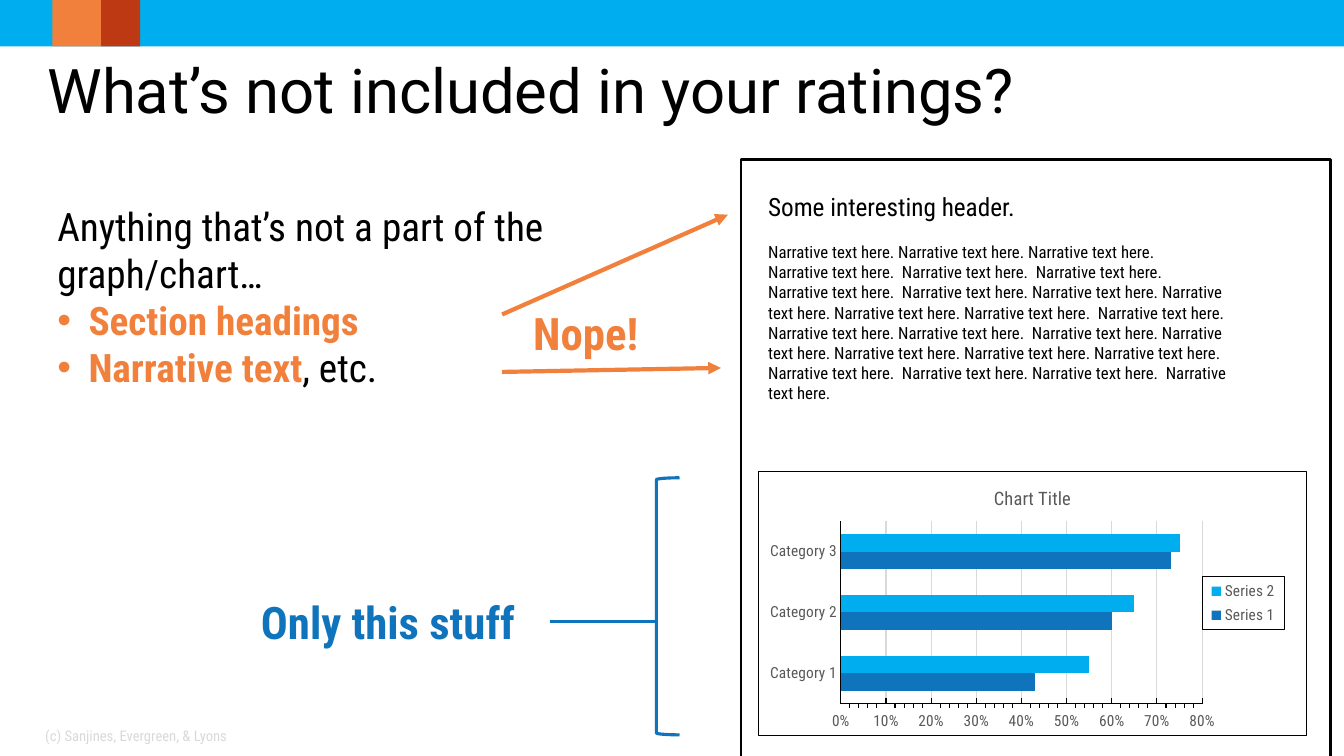
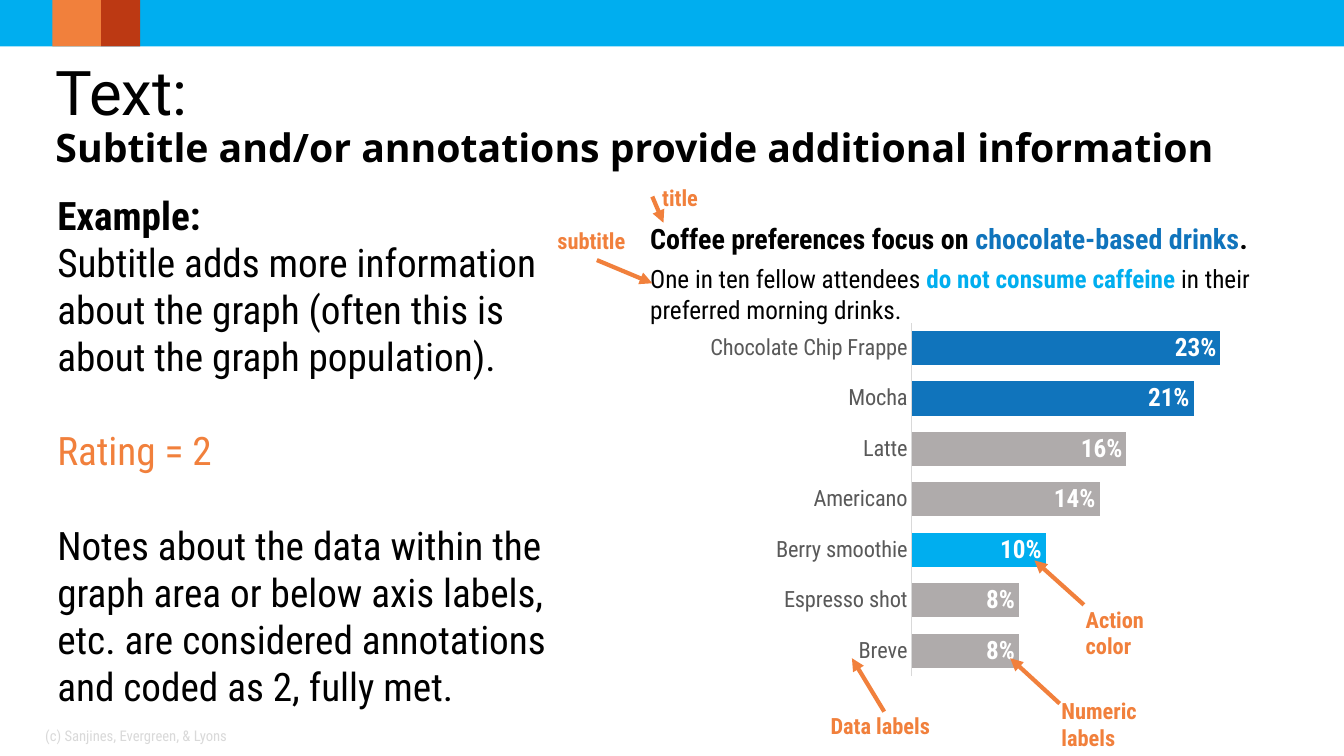
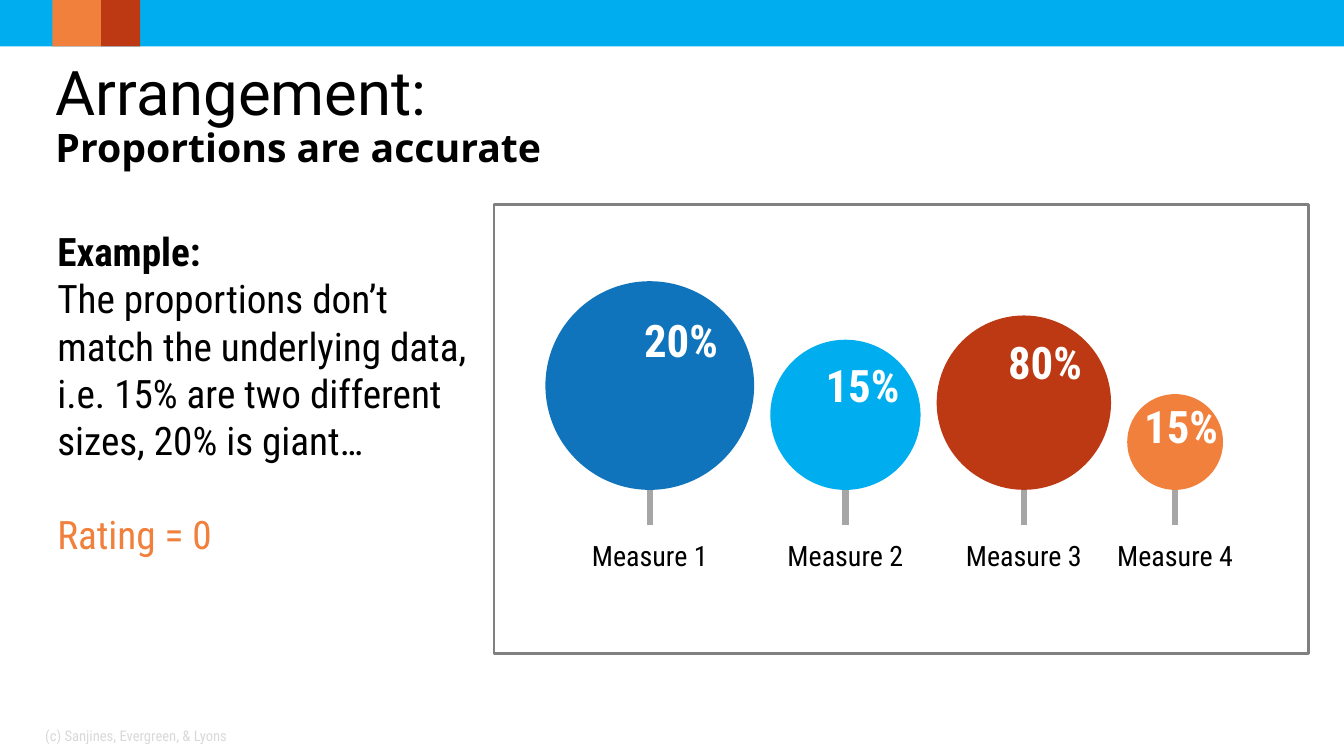
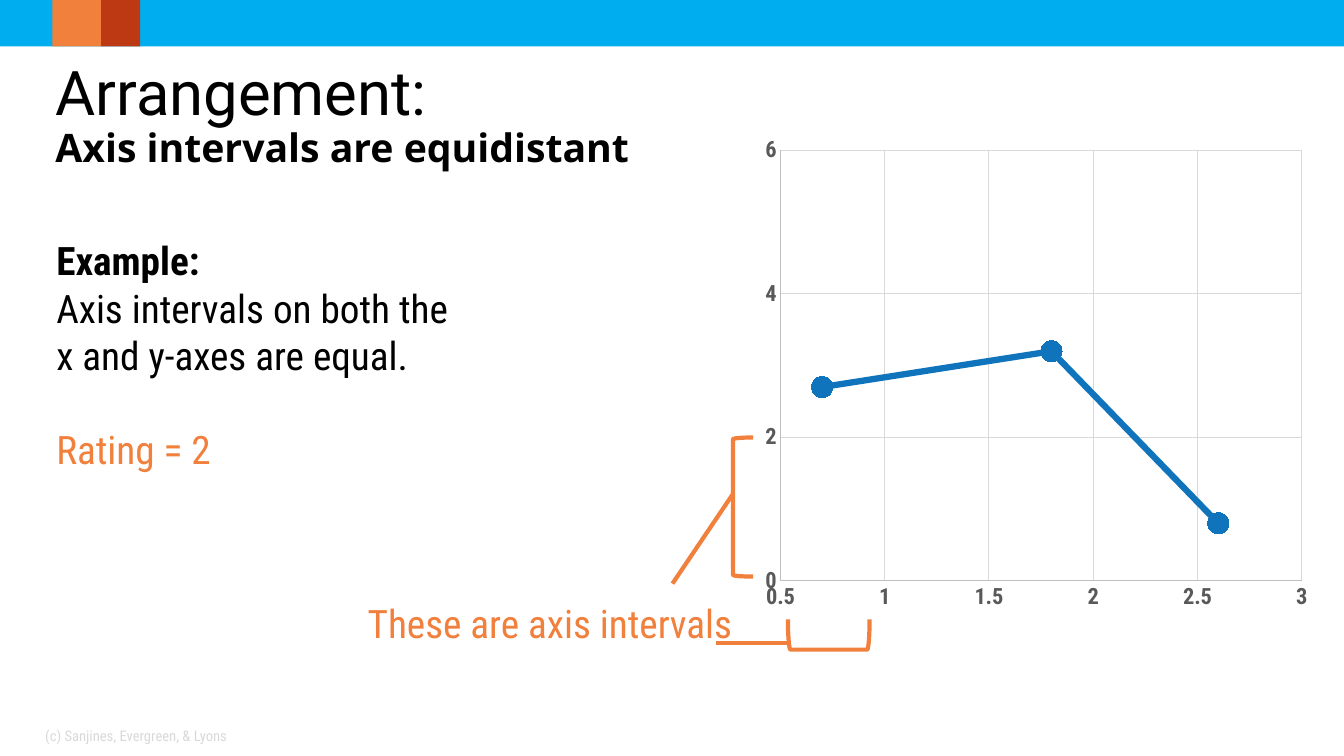
from pptx import Presentation
from pptx.chart.data import CategoryChartData, XyChartData
from pptx.dml.color import RGBColor
from pptx.enum.chart import XL_CHART_TYPE as CHART
from pptx.enum.chart import XL_LABEL_POSITION as LABEL
from pptx.enum.chart import XL_LEGEND_POSITION as LEGEND
from pptx.enum.chart import XL_MARKER_STYLE as MARKER
from pptx.enum.chart import XL_TICK_MARK as TICK
from pptx.enum.shapes import MSO_CONNECTOR as CONNECTOR
from pptx.enum.shapes import MSO_SHAPE as SHAPE
from pptx.enum.text import MSO_ANCHOR as ANCHOR
from pptx.enum.text import PP_ALIGN as ALIGN
from pptx.oxml import parse_xml
from pptx.oxml.ns import nsdecls, qn
from pptx.util import Inches, Pt

BLACK = RGBColor(0x00, 0x00, 0x00)
WHITE = RGBColor(0xFF, 0xFF, 0xFF)
CYAN = RGBColor(0x00, 0xAE, 0xEF)
BLUE = RGBColor(0x10, 0x74, 0xBC)
RED = RGBColor(0xBC, 0x39, 0x13)
ORANGE = RGBColor(0xF1, 0x80, 0x3C)
AXIS_TEXT = RGBColor(0x59, 0x59, 0x59)
FRAME_GRAY = RGBColor(0x80, 0x80, 0x80)
STEM_GRAY = RGBColor(0xA6, 0xA6, 0xA6)
BAR_GRAY = RGBColor(0xAF, 0xAB, 0xAB)
AXIS_GRAY = RGBColor(0xBF, 0xBF, 0xBF)
PALE_GRAY = RGBColor(0xD9, 0xD9, 0xD9)

BODY_FONT, TITLE_FONT, SUBTITLE_FONT = "Roboto Condensed", "Roboto", "Open Sans"
BLANK_LINE = Pt(33.6)
FOOTER = "(c) Sanjines, Evergreen, & Lyons"


def set_values(target, values):
    for key, value in values.items():
        setattr(target, key, value)


def set_font(font, size, color, bold=False, name=BODY_FONT):
    set_values(font, {"size": Pt(size), "bold": bold, "name": name})
    font.color.rgb = color


def set_line(line, color, width=0.75):
    line.color.rgb = color
    line.width = Pt(width)


def chart_border():
    return parse_xml(
        f'<c:spPr {nsdecls("c", "a")}><a:noFill/><a:ln w="9525"><a:solidFill>'
        f'<a:srgbClr val="{BLACK}"/></a:solidFill></a:ln></c:spPr>')


def chart_layout(x, y, w, h, inner=False):
    """Manual layout element, in fractions of the chart area."""
    target = '<c:layoutTarget val="inner"/>' if inner else ""
    modes = "".join(f'<c:{side}Mode val="edge"/>' for side in "xy")
    sizes = "".join(f'<c:{key} val="{value}"/>' for key, value in zip("xywh", (x, y, w, h)))
    return parse_xml(f'<c:layout {nsdecls("c")}><c:manualLayout>{target}{modes}{sizes}'
                     '</c:manualLayout></c:layout>')


def place_plot(chart, *fractions):
    plot_area = chart._chartSpace.chart.plotArea
    for old in plot_area.findall(qn("c:layout")):
        plot_area.remove(old)
    plot_area.insert(0, chart_layout(*fractions, inner=True))


def style_axis(axis, size, line, grid=None, bold=False, **values):
    set_values(axis, {"major_tick_mark": TICK.NONE, "minor_tick_mark": TICK.NONE,
                      "has_major_gridlines": grid is not None, **values})
    set_font(axis.tick_labels.font, size, AXIS_TEXT, bold)
    set_line(axis.format.line, line)
    if grid is not None:
        set_line(axis.major_gridlines.format.line, grid)


class Deck:
    def __init__(self):
        self.prs = Presentation()
        self.prs.slide_width, self.prs.slide_height = Inches(13.33), Inches(7.5)
        self.slide = None

    def new_slide(self, title, subtitle=None):
        self.slide = self.prs.slides.add_slide(self.prs.slide_layouts[6])
        for left, width, color in ((0, 13.33, CYAN), (1, 0.39, RED), (0.52, 0.48, ORANGE)):
            self.shape(SHAPE.RECTANGLE, (left, 0, width, 0.46), fill=color)
        runs = [(title, {"name": TITLE_FONT})]
        box = (0.47, 0.3, 12.21, 1.25)
        if subtitle:
            runs += ["\n", (subtitle, {"size": 28, "bold": True, "name": SUBTITLE_FONT})]
            box = (0.55, 0.53, 12.51, 1.25)
        heading = self.text(box, [runs], 44, anchor=ANCHOR.MIDDLE, line_spacing=0.9)
        set_values(heading.text_frame, {"margin_left": 0, "margin_right": 0})
        self.text((0.35, 7.1, 3.11, 0.4), [FOOTER], 10.5, PALE_GRAY, anchor=ANCHOR.MIDDLE)

    def shape(self, kind, box, fill=None, line=None, width=1, rotation=0):
        shape = self.slide.shapes.add_shape(kind, *map(Inches, box))
        shape.shadow.inherit = False
        shape.rotation = rotation
        if fill is None:
            shape.fill.background()
        else:
            shape.fill.solid()
            shape.fill.fore_color.rgb = fill
        if line is None:
            shape.line.fill.background()
        else:
            set_line(shape.line, line, width)
        return shape

    def text(self, box, paragraphs, size, color=BLACK, bold=False, anchor=ANCHOR.TOP,
             gaps=(), bullets=(), **paragraph_values):
        """Each paragraph is a string or a list of runs; a run is a string or (string, font values).

        gaps and bullets hold the indexes of paragraphs with a line before them or a bullet.
        """
        shape = self.slide.shapes.add_textbox(*map(Inches, box))
        frame = shape.text_frame
        set_values(frame, {"word_wrap": True, "vertical_anchor": anchor})
        for index, runs in enumerate(paragraphs):
            paragraph = frame.add_paragraph() if index else frame.paragraphs[0]
            set_values(paragraph, paragraph_values)
            if index in gaps:
                paragraph.space_before = BLANK_LINE
            if index in bullets:
                self.bullet(paragraph)
            for run in [runs] if isinstance(runs, str) else runs:
                if run == "\n":
                    paragraph.add_line_break()
                    continue
                words, values = (run, {}) if isinstance(run, str) else run
                part = paragraph.add_run()
                part.text = words
                set_font(part.font, **{"size": size, "color": color, "bold": bold, **values})
        return shape

    @staticmethod
    def bullet(paragraph):
        properties = paragraph._p.get_or_add_pPr()
        indent = Inches(0.31)
        properties.set("marL", str(indent))
        properties.set("indent", str(-indent))
        properties.append(parse_xml(f'<a:buFont {nsdecls("a")} typeface="Arial"/>'))
        properties.append(parse_xml(f'<a:buChar {nsdecls("a")} char="•"/>'))

    def example(self, box, body, rating, note=None):
        paragraphs = [[("Example:", {"bold": True})], body,
                      [(f"Rating = {rating}", {"color": ORANGE})]]
        if note:
            paragraphs.append(note)
        self.text(box, paragraphs, 28, gaps=(2, 3))

    def line(self, start, end, color=ORANGE, width=3, arrow=False):
        line = self.slide.shapes.add_connector(CONNECTOR.STRAIGHT, *map(Inches, start + end))
        set_line(line.line, color, width)
        if arrow:
            line.line._get_or_add_ln().append(
                parse_xml(f'<a:tailEnd {nsdecls("a")} type="triangle"/>'))
        line._element.spPr.append(parse_xml(f'<a:effectLst {nsdecls("a")}/>'))
        return line

    def chart(self, kind, box, data, size):
        chart = self.slide.shapes.add_chart(kind, *map(Inches, box), data).chart
        set_font(chart.font, size, BLACK)
        set_values(chart, {"has_title": False, "has_legend": False})
        chart.plots[0].vary_by_categories = False
        return chart

    def bars(self, box, categories, series, size, gap):
        """Bar chart from (name, values, colour) series."""
        data = CategoryChartData(number_format="0%")
        data.categories = categories
        for name, values, _ in series:
            data.add_series(name, values)
        chart = self.chart(CHART.BAR_CLUSTERED, box, data, size)
        set_values(chart.plots[0], {"gap_width": gap, "overlap": 0})
        for drawn, (_, _, color) in zip(chart.plots[0].series, series):
            drawn.format.fill.solid()
            drawn.format.fill.fore_color.rgb = color
            drawn.invert_if_negative = False
        return chart


def ratings_slide(deck):
    deck.new_slide("What’s not included in your ratings?")
    strong = {"color": ORANGE, "bold": True}
    deck.text((0.47, 1.96, 6.24, 3.23),
              ["Anything that’s not a part of the graph/chart…",
               [("Section headings", strong)],
               [("Narrative text", strong), ", etc."]], 28, bullets=(1, 2))
    deck.line((4.98, 3.12), (7.22, 2.13), arrow=True)
    deck.line((4.98, 3.69), (7.15, 3.65), arrow=True)
    included = deck.text((2.49, 5.85, 2.96, 0.64), ["Only this stuff"], 32, BLUE, True,
                         ANCHOR.MIDDLE)
    deck.shape(SHAPE.LEFT_BRACKET, (6.51, 4.74, 0.23, 2.55), line=BLUE, width=2.25)
    deck.line((5.45, 6.17), (6.51, 6.17), BLUE, 2.25).begin_connect(included, 3)
    deck.text((5.19, 2.98, 2.96, 0.64), ["Nope!"], 32, ORANGE, True, ANCHOR.MIDDLE)

    deck.shape(SHAPE.RECTANGLE, (7.35, 1.58, 5.85, 6.23), WHITE, BLACK, 2)
    deck.text((7.52, 1.85, 4.27, 0.41), ["Some interesting header."], 18)
    deck.text((7.52, 2.35, 4.89, 2.73), [
        "Narrative text here. Narrative text here. Narrative text here.",
        "Narrative text here.  Narrative text here.  Narrative text here.",
        "Narrative text here.  Narrative text here. Narrative text here. Narrative text here. "
        "Narrative text here. Narrative text here.  Narrative text here.  Narrative text here. "
        "Narrative text here.  Narrative text here. Narrative text here. Narrative text here. "
        "Narrative text here. Narrative text here.  Narrative text here.  Narrative text here. "
        "Narrative text here.  Narrative text here."], 12)

    chart = deck.bars((7.52, 4.67, 5.44, 2.63), ["Category 1", "Category 2", "Category 3"],
                      [("Series 1", (0.43, 0.6, 0.73), BLUE),
                       ("Series 2", (0.55, 0.65, 0.75), CYAN)], 11, 150)
    style_axis(chart.category_axis, 11, BLACK)
    style_axis(chart.value_axis, 11, BLACK, PALE_GRAY, minimum_scale=0, maximum_scale=0.8,
               major_unit=0.1, minor_unit=0.02, major_tick_mark=TICK.INSIDE,
               minor_tick_mark=TICK.OUTSIDE)
    chart.has_title = True
    heading = chart.chart_title.text_frame
    heading.text = "Chart Title"
    set_font(heading.paragraphs[0].runs[0].font, 13.2, AXIS_TEXT)
    chart.has_legend = True
    legend = chart.legend
    set_values(legend, {"position": LEGEND.RIGHT, "include_in_layout": False})
    set_font(legend.font, 11, AXIS_TEXT)
    legend._element.find(qn("c:legendPos")).addnext(chart_layout(0.81, 0.4, 0.15, 0.2))
    legend._element.find(qn("c:overlay")).addnext(chart_border())
    place_plot(chart, 0.15, 0.19, 0.66, 0.69)
    chart._chartSpace.chart.addnext(chart_border())


def text_slide(deck):
    deck.new_slide("Text:", "Subtitle and/or annotations provide additional information")
    deck.example((0.47, 1.85, 5.14, 5.28),
                 "Subtitle adds more information about the graph "
                 "(often this is about the graph population).", 2,
                 "Notes about the data within the graph area or below axis labels, etc. "
                 "are considered annotations and coded as 2, fully met.")
    drinks = ["Breve", "Espresso shot", "Berry smoothie", "Americano", "Latte", "Mocha",
              "Chocolate Chip Frappe"]
    shares = (0.08, 0.08, 0.1, 0.14, 0.16, 0.21, 0.23)
    chart = deck.bars((5.64, 2.88, 6.94, 4.03), drinks, [("Series 1", shares, BAR_GRAY)], 10, 48)
    style_axis(chart.category_axis, 16, PALE_GRAY)
    set_values(chart.value_axis, {"visible": False, "has_major_gridlines": False,
                                  "minimum_scale": 0, "maximum_scale": 0.25})
    bars = chart.plots[0].series[0]
    for index, color in ((2, CYAN), (5, BLUE), (6, BLUE)):
        fill = bars.points[index].format.fill
        fill.solid()
        fill.fore_color.rgb = color
    labels = bars.data_labels
    set_values(labels, {"show_value": True, "position": LABEL.INSIDE_END,
                        "number_format": "0%", "number_format_is_linked": False})
    set_font(labels.font, 18, WHITE, True)
    place_plot(chart, 0.49, 0.08, 0.48, 0.87)

    deck.text((6.35, 2.15, 6.94, 0.92), [
        [("Coffee preferences focus on ", {"size": 20, "bold": True}),
         ("chocolate-based drinks", {"size": 20, "bold": True, "color": BLUE}),
         (".", {"size": 20, "bold": True})],
        ["One in ten fellow attendees ",
         ("do not consume caffeine ", {"bold": True, "color": CYAN}),
         "in their preferred morning drinks."]], 18, space_after=Pt(6))
    callouts = (
        ((6.47, 1.78, 0.63, 0.3), ["title"], (6.47, 1.95), (6.58, 2.21)),
        ((5.43, 2.2, 0.99, 0.3), ["subtitle"], (5.92, 2.58), (6.47, 2.81)),
        ((8.14, 7.02, 1.34, 0.3), ["Data labels"], (8.77, 7.06), (8.45, 6.53)),
        ((10.43, 6.87, 1.33, 0.52), ["Numeric labels"], (10.51, 6.98), (10.02, 6.53)),
        ((10.67, 5.96, 1.33, 0.52), ["Action", "color"], (10.75, 6), (10.26, 5.56)),
    )
    for box, words, start, end in callouts:
        deck.line(start, end, arrow=True)
        deck.text(box, words, 16, ORANGE, True)


def proportions_slide(deck):
    deck.new_slide("Arrangement:", "Proportions are accurate")
    deck.shape(SHAPE.RECTANGLE, (4.9, 2.03, 8.08, 4.45), WHITE, FRAME_GRAY, 2)
    deck.example((0.47, 2.21, 4.35, 3.4),
                 "The proportions don’t match the underlying data, "
                 "i.e. 15% are two different sizes, 20% is giant…", 0)
    left, gap, base, label_width = 5.41, 0.16, 4.86, 1.65
    bubbles = (
        (2.07, BLUE, "20%", (6.29, 3.05)),
        (1.49, CYAN, "15%", (8.09, 3.5)),
        (1.73, RED, "80%", (9.9, 3.27)),
        (0.95, ORANGE, "15%", (11.25, 3.91)),
    )
    for number, (diameter, color, share, corner) in enumerate(bubbles, 1):
        center = left + diameter / 2
        deck.line((center, 4.32), (center, 5.21), STEM_GRAY, 4.5)
        deck.shape(SHAPE.OVAL, (left, base - diameter, diameter, diameter), color)
        deck.text((*corner, 1.03, 0.64), [share], 32, WHITE, True)
        deck.text((center - label_width / 2, 5.29, label_width, 0.44), [f"Measure {number}"], 20,
                  alignment=ALIGN.CENTER)
        left += diameter + gap


def intervals_slide(deck):
    deck.new_slide("Arrangement:", "Axis intervals are equidistant")
    deck.shape(SHAPE.LEFT_BRACKET, (7.27, 4.34, 0.2, 1.38), line=ORANGE, width=3)
    deck.shape(SHAPE.LEFT_BRACKET, (8.07, 5.89, 0.3, 0.81), line=ORANGE, width=3, rotation=270)
    deck.text((2.9, 5.9, 4.46, 0.57), ["These are axis intervals"], 28, ORANGE,
              alignment=ALIGN.RIGHT)
    deck.line((7.27, 4.9), (6.67, 5.79))
    deck.line((7.83, 6.38), (7.1, 6.38))
    deck.example((0.46, 2.3, 4.22, 2.46), "Axis intervals on both the x and y-axes are equal.", 2)

    data = XyChartData()
    points = data.add_series("Series 1")
    for x, y in ((0.7, 2.7), (1.8, 3.2), (2.6, 0.8)):
        points.add_data_point(x, y)
    chart = deck.chart(CHART.XY_SCATTER_SMOOTH, (7.46, 1.3, 5.62, 4.85), data, 10)
    for axis, low, high, step in ((chart.category_axis, 0.5, 3, 0.5),
                                  (chart.value_axis, 0, 6, 2)):
        style_axis(axis, 16, AXIS_GRAY, PALE_GRAY, True, minimum_scale=low, maximum_scale=high,
                   major_unit=step)
        set_values(axis.tick_labels, {"number_format": "General",
                                      "number_format_is_linked": False})
    curve = chart.plots[0].series[0]
    curve.smooth = True
    set_line(curve.format.line, BLUE, 4.5)
    set_values(curve.marker, {"style": MARKER.CIRCLE, "size": 15})
    curve.marker.format.fill.solid()
    curve.marker.format.fill.fore_color.rgb = BLUE
    set_line(curve.marker.format.line, BLUE)
    place_plot(chart, 0.05, 0.04, 0.92, 0.88)


def main():
    deck = Deck()
    for build in (ratings_slide, text_slide, proportions_slide, intervals_slide):
        build(deck)
    deck.prs.save("out.pptx")


if __name__ == "__main__":
    main()
